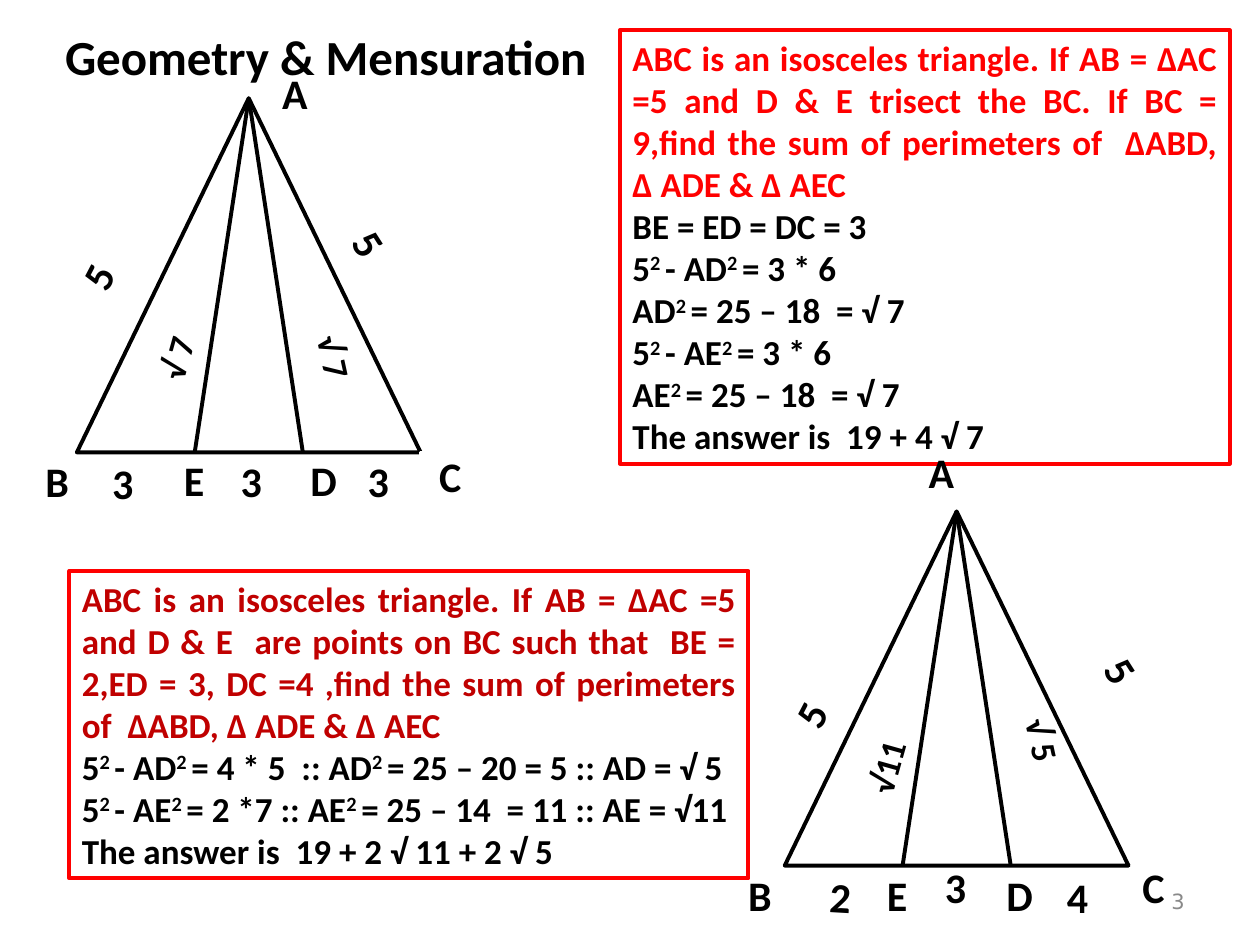
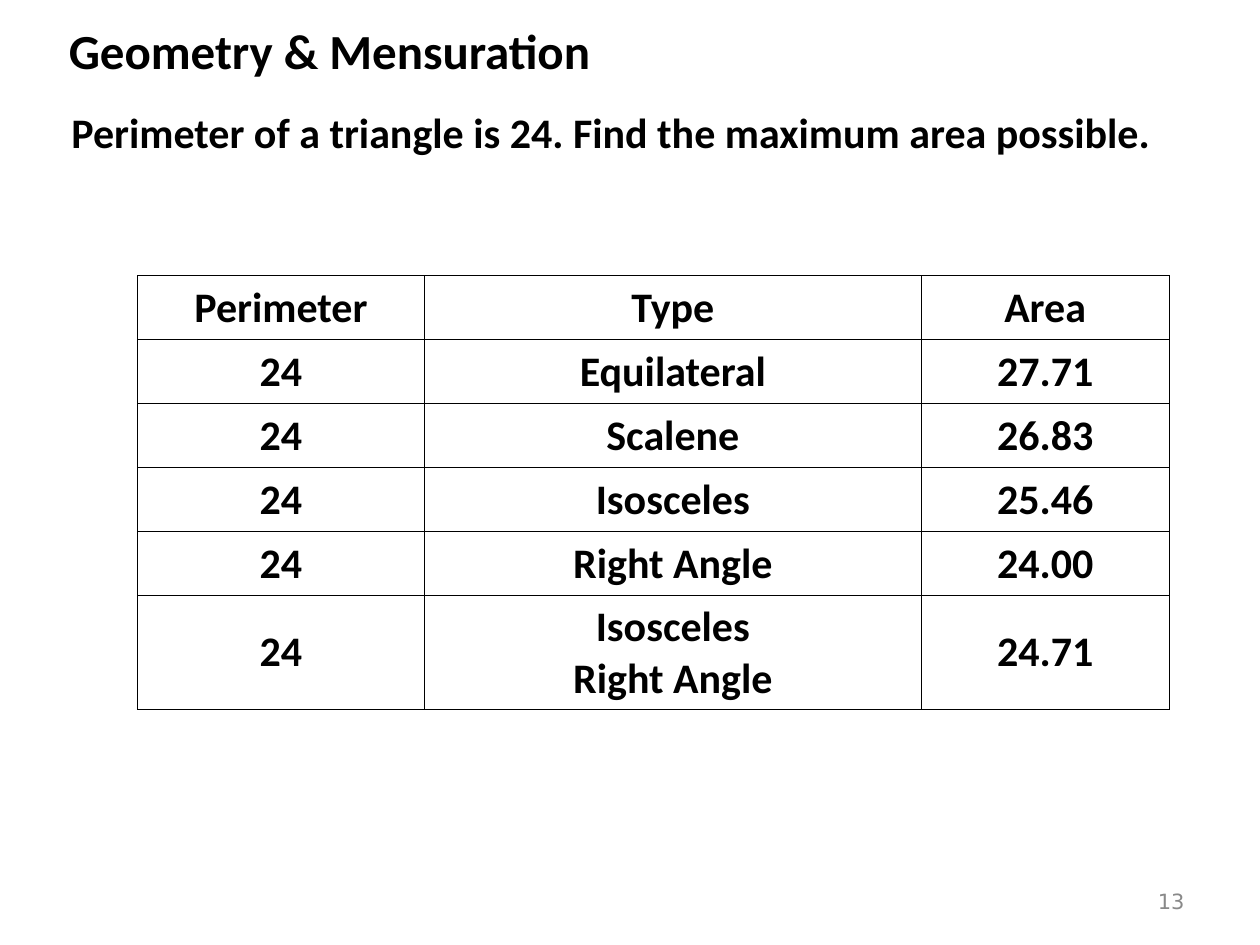
from lxml.etree import SubElement
from pptx import Presentation
from pptx.dml.color import RGBColor
from pptx.enum.shapes import MSO_CONNECTOR, MSO_SHAPE
from pptx.enum.text import MSO_ANCHOR, PP_ALIGN
from pptx.oxml.ns import qn
from pptx.util import Cm, Pt

COLORS = {
    "ink": "000000",
    "paper": "FFFFFF",
    "frame": "FF0000",
    "trisect": "FF0000",
    "points": "C00000",
    "page": "898989",
}
HEADING = "Geometry & Mensuration"


def write(frame, lines, size=24, color="ink", font="Calibri", bold=True,
          align=PP_ALIGN.CENTER, anchor=MSO_ANCHOR.MIDDLE):
    frame.word_wrap = True
    frame.vertical_anchor = anchor
    for index, line in enumerate(lines):
        paragraph = frame.paragraphs[0] if index == 0 else frame.add_paragraph()
        paragraph.alignment = align
        paragraph.font.size = Pt(size)
        paragraph.font.name = font
        paragraph.font.bold = bold
        paragraph.font.color.rgb = RGBColor.from_string(COLORS[color])
        for part, words in enumerate(line.split("^")):
            run = paragraph.add_run()
            run.text = words
            if part % 2:
                run._r.get_or_add_rPr().set("baseline", "30000")


def outline(slide, preset, box, color, width=2.25):
    shape = slide.shapes.add_shape(preset, *map(Cm, box))
    shape.shadow.inherit = False
    shape.fill.background()
    shape.line.color.rgb = RGBColor.from_string(COLORS[color])
    shape.line.width = Pt(width)
    return shape


deck = Presentation()
deck.slide_width, deck.slide_height = Cm(25.4), Cm(19.05)

pages = []
for number, heading_box in [("3", (1.04, 0.41, 11.05, 1.45)),
                            ("13", (0.58, 0.41, 12.12, 1.19))]:
    slide = deck.slides.add_slide(deck.slide_layouts[6])
    heading = slide.shapes.add_textbox(*map(Cm, heading_box))
    write(heading.text_frame, [HEADING], size=28)
    page = slide.shapes.add_textbox(Cm(18.21), Cm(17.65), Cm(5.92), Cm(1.02))
    write(page.text_frame, [number], size=12, color="page", font="DejaVu Sans",
          bold=False, align=PP_ALIGN.RIGHT)
    pages.append(slide)
triangles, areas = pages

problems = [
    ((12.5, 0.61, 12.29, 8.74), "trisect", [
        "ABC is an isosceles triangle. If AB = ∆AC =5 and D & E trisect the BC. "
        "If BC = 9,find the sum of perimeters of  ∆ABD, ∆ ADE & ∆ AEC",
        "BE = ED = DC = 3",
        "5^2 ^- AD^2 ^= 3 * 6",
        "AD^2 ^= 25 – 18  = √ 7",
        "5^2 ^- AE^2 ^= 3 * 6",
        "AE^2 ^= 25 – 18  = √ 7",
        "The answer is  19 + 4 √ 7",
    ]),
    ((1.4, 11.51, 13.69, 6.2), "points", [
        "ABC is an isosceles triangle. If AB = ∆AC =5 and D & E  are points on BC "
        "such that  BE = 2,ED = 3, DC =4 ,find the sum of perimeters of  "
        "∆ABD, ∆ ADE & ∆ AEC",
        "5^2 ^- AD^2 ^= 4 * 5  :: AD^2 ^= 25 – 20 = 5 :: AD = √ 5",
        "5^2 ^- AE^2 ^= 2 *7 :: AE^2 ^= 25 – 14  = 11 :: AE = √11",
        "The answer is  19 + 2 √ 11 + 2 √ 5",
    ]),
]
for box, question_color, lines in problems:
    solution = outline(triangles, MSO_SHAPE.RECTANGLE, box, "frame").text_frame
    write(solution, lines, size=20, align=PP_ALIGN.LEFT, anchor=MSO_ANCHOR.TOP)
    question = solution.paragraphs[0]
    question.alignment = PP_ALIGN.JUSTIFY
    question.font.color.rgb = RGBColor.from_string(COLORS[question_color])

BASE, HEIGHT, FOOT = 6.93, 7.14, 1.09
SMALL = (0.76, 0.76)
figures = [
    (1.55, 1.98, [
        ("A", 5.16, 1.19, (1.57, 1.35), 0),
        ("B", 0.56, 9.3, (1.19, 0.79), 0),
        ("C", 8.48, 9.12, (1.19, 0.94), 0),
        ("D", 5.94, 9.3, (1.17, 0.76), 0),
        ("E", 3.33, 9.3, (1.17, 0.76), 0),
        ("√ 7", 2.79, 6.96, (1.52, 0.51), 285.6),
        ("√ 7", 5.99, 6.81, (1.52, 0.76), 77.7),
        ("5", 1.55, 5.26, SMALL, 297.6),
        ("5", 7.04, 4.45, SMALL, 57.5),
        ("3", 2.01, 9.35, SMALL, 0),
        ("3", 4.6, 9.32, SMALL, 0),
        ("3", 7.16, 9.32, SMALL, 0),
    ]),
    (15.82, 10.31, [
        ("A", 18.47, 9.12, SMALL, 0),
        ("B", 14.83, 17.65, SMALL, 0),
        ("C", 22.78, 17.5, SMALL, 0),
        ("D", 20.04, 17.65, SMALL, 0),
        ("E", 17.63, 17.65, SMALL, 0),
        ("√11", 16.97, 15.09, (1.78, 0.76), 285.6),
        ("√ 5", 20.27, 14.53, (1.52, 0.76), 77.7),
        ("5", 15.93, 14.1, SMALL, 297.6),
        ("5", 22.2, 13.06, SMALL, 57.5),
        ("2", 16.48, 17.68, SMALL, 3.4),
        ("3", 18.8, 17.5, SMALL, 0),
        ("4", 21.26, 17.7, SMALL, 0),
    ]),
]
for left, top, labels in figures:
    outline(triangles, MSO_SHAPE.ISOSCELES_TRIANGLE, (left, top, BASE, HEIGHT), "ink")
    apex = left + BASE / 2
    for side in (1, -1):
        cevian = triangles.shapes.add_connector(
            MSO_CONNECTOR.STRAIGHT, Cm(apex), Cm(top),
            Cm(apex + side * FOOT), Cm(top + HEIGHT))
        cevian.line.color.rgb = RGBColor.from_string(COLORS["ink"])
        cevian.line.width = Pt(2.25)
        SubElement(cevian._element.spPr, qn("a:effectLst"))
    for text, x, y, extent, turn in labels:
        box = (x, y, *extent)
        if text in "CDE4":
            label = outline(triangles, MSO_SHAPE.RECTANGLE, box, "paper", 1.5)
        else:
            label = triangles.shapes.add_textbox(*map(Cm, box))
        label.rotation = turn
        write(label.text_frame, [text], size=20 if "√" in text else 24)

puzzle = areas.shapes.add_textbox(Cm(1.19), Cm(2.03), Cm(22.81), Cm(1.78))
write(puzzle.text_frame,
      ["Perimeter of a triangle is 24. Find the maximum area possible."],
      align=PP_ALIGN.JUSTIFY, anchor=MSO_ANCHOR.TOP)

rows = [
    ("Perimeter", "Type", "Area"),
    ("24", "Equilateral", "27.71"),
    ("24", "Scalene", "26.83"),
    ("24", "Isosceles", "25.46"),
    ("24", "Right Angle", "24.00"),
    ("24", "Isosceles\nRight Angle", "24.71"),
]
widths = [5.79, 10.01, 5]
comparison = areas.shapes.add_table(
    len(rows), len(widths), Cm(2.77), Cm(5.56), Cm(sum(widths)), Cm(8.74)).table
comparison.first_row = comparison.horz_banding = False
for column, width in zip(comparison.columns, widths):
    column.width = Cm(width)
for r, row in enumerate(rows):
    comparison.rows[r].height = Cm(2.29 if "\n" in row[1] else 1.29)
    for c, entry in enumerate(row):
        cell = comparison.cell(r, c)
        write(cell.text_frame, entry.split("\n"))
        cell.vertical_anchor = MSO_ANCHOR.MIDDLE
        properties = cell._tc.get_or_add_tcPr()
        for edge in ("a:lnL", "a:lnR", "a:lnT", "a:lnB"):
            border = SubElement(properties, qn(edge), w=str(Pt(0.45)))
            SubElement(SubElement(border, qn("a:solidFill")), qn("a:srgbClr"),
                       val=COLORS["ink"])
        cell.fill.background()

deck.save("out.pptx")
